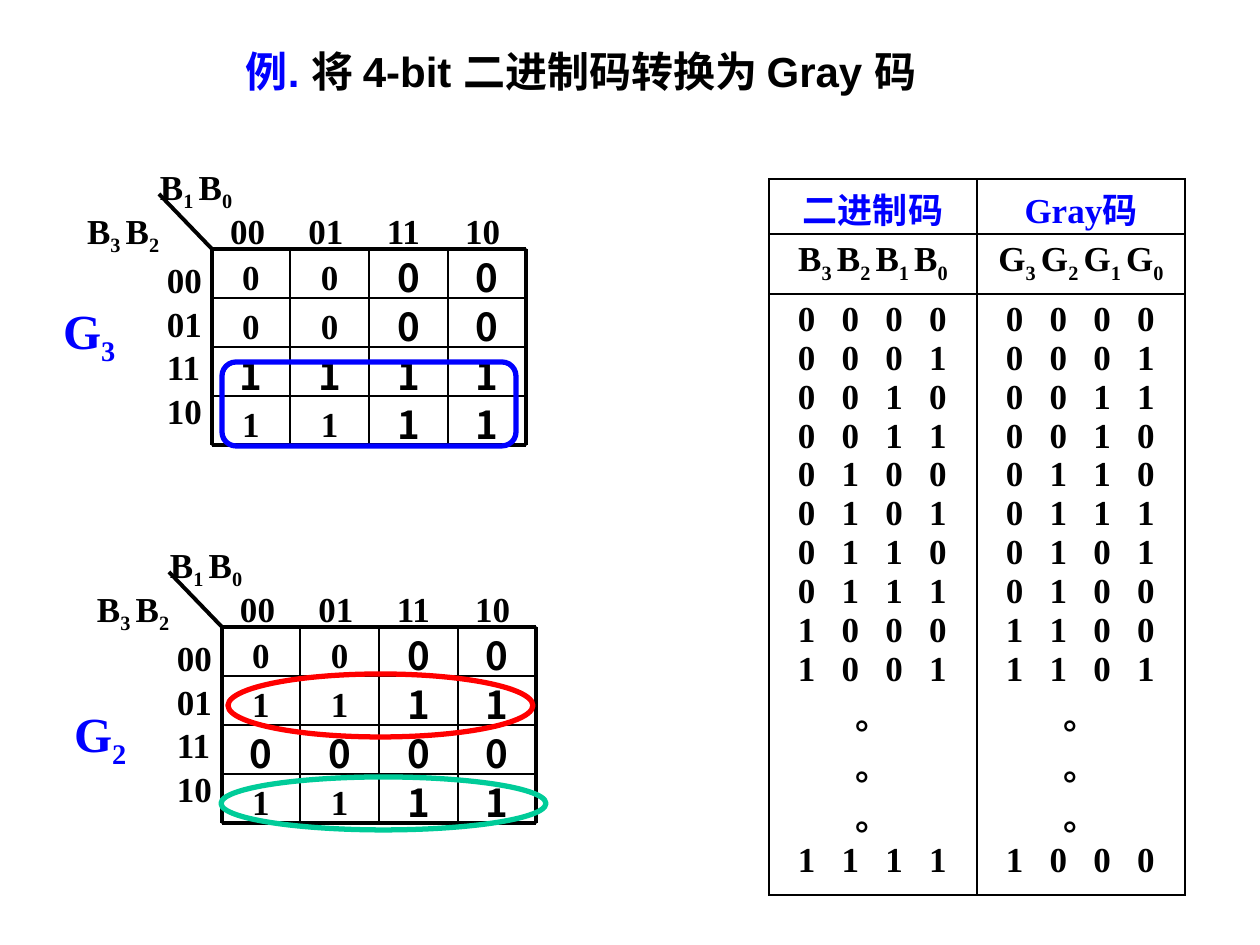
import dataclasses
import itertools
import typing

import pptx
import pptx.dml.color
import pptx.enum.shapes
import pptx.enum.text
import pptx.oxml.ns
import pptx.util
from lxml import etree

PX = 914400 / 126
COLORS = {"black": "000000", "blue": "0000FF", "red": "FF0000", "green": "00CC99"}
SERIF, SANS, CJK = "Times New Roman", "Arial", "Noto Sans CJK SC"
ALIGN = pptx.enum.text.PP_ALIGN
SHAPE = pptx.enum.shapes.MSO_SHAPE


class Box(typing.NamedTuple):
    left: int
    top: int
    width: int
    height: int


class Span(typing.NamedTuple):
    text: str
    size: int = 20
    font: str = SERIF
    color: str = "black"
    sub: bool = False


@dataclasses.dataclass
class Loop:
    kind: pptx.enum.shapes.MSO_SHAPE
    box: Box
    color: str


@dataclasses.dataclass
class KarnaughMap:
    index: str
    left: int
    top: int
    values: list[str]
    loops: list[Loop]
    name_box: Box


def px(value: float) -> int:
    return round(value * PX)


def emu(box: Box) -> list[int]:
    return [px(value) for value in box]


def rgb(name: str) -> pptx.dml.color.RGBColor:
    return pptx.dml.color.RGBColor.from_string(COLORS[name])


def child(parent, tag: str, **attributes: str):
    return etree.SubElement(parent, pptx.oxml.ns.qn(tag), **attributes)


def add_spans(para, spans: list[Span]) -> None:
    for span in spans:
        run = para.add_run()
        run.text = span.text
        run.font.size = pptx.util.Pt(span.size)
        run.font.bold = True
        run.font.name = span.font
        run.font.color.rgb = rgb(span.color)
        properties = run.font._element
        child(properties, "a:ea", typeface=CJK)
        if span.sub:
            properties.set("baseline", "-25000")


def subscripted(letter: str, digits: str, size: int = 20, color: str = "black") -> list[Span]:
    spans = []
    for position, digit in enumerate(digits, 1):
        gap = " " if position < len(digits) else ""
        spans += [Span(letter, size, color=color), Span(digit + gap, size, color=color, sub=True)]
    return spans


def add_tabs(para, pitch: float) -> None:
    stops = child(para._p.get_or_add_pPr(), "a:tabLst")
    for step in (1, 2, 3):
        child(stops, "a:tab", pos=str(px(pitch * step)), algn="l")


def add_text(page, box: Box, lines: list[list[Span]], align=ALIGN.LEFT, inset: int = 13,
             tab_pitch: float = 0, line_spacing: float = 1, gap: float = 0) -> None:
    frame = page.shapes.add_textbox(*emu(box)).text_frame
    frame.word_wrap = True
    frame.margin_left, frame.margin_top, frame.margin_bottom = px(inset), px(10), px(2)
    for number, spans in enumerate(lines):
        para = frame.add_paragraph() if number else frame.paragraphs[0]
        para.alignment = align
        if line_spacing != 1:
            para.line_spacing = line_spacing
        if number and gap:
            para.space_before = pptx.util.Pt(gap)
        if tab_pitch:
            add_tabs(para, tab_pitch)
        add_spans(para, spans)


def add_outline(page, kind, box: Box, color: str, weight: float):
    shape = page.shapes.add_shape(kind, *emu(box))
    shape.shadow.inherit = False
    shape.fill.background()
    shape.line.color.rgb = rgb(color)
    shape.line.width = pptx.util.Pt(weight)
    return shape


def add_line(page, x1: int, y1: int, x2: int, y2: int, weight: float) -> None:
    line = page.shapes.add_connector(pptx.enum.shapes.MSO_CONNECTOR.STRAIGHT,
                                     px(x1), px(y1), px(x2), px(y2))
    line.line.color.rgb = rgb("black")
    line.line.width = pptx.util.Pt(weight)
    child(line._element.spPr, "a:effectLst")


def draw_map(page, kmap: KarnaughMap) -> None:
    left, top = kmap.left, kmap.top
    xs = [left + round(314 * step / 4) for step in range(5)]
    ys = [top + 49 * step for step in range(5)]

    # Axis labels
    add_text(page, Box(left - 58, top + 14, 66, 176),
             [[Span(code)] for code in ("00", "01", "11", "10")], line_spacing=0.6, gap=10.7)
    add_text(page, Box(left - 12, top - 50, 336, 54), [[Span("00\t01\t11\t10")]],
             inset=30, tab_pitch=78.4)

    # Cells
    for row, column in itertools.product(range(4), repeat=2):
        cell = add_outline(page, SHAPE.RECTANGLE,
                           Box(xs[column], ys[row], xs[column + 1] - xs[column], 49), "black", 1)
        frame = cell.text_frame
        frame.vertical_anchor = pptx.enum.text.MSO_ANCHOR.MIDDLE
        frame.margin_top, frame.margin_bottom = px(13), px(6)
        frame.paragraphs[0].alignment = ALIGN.CENTER
        sans = row == 2 or column > 1
        add_spans(frame.paragraphs[0],
                  [Span(kmap.values[row][column], 22 if sans else 20, CJK if sans else SERIF)])

    # Rules: thin inside, thick around, and the corner diagonal
    for step in range(5):
        weight = 2.25 if step in (0, 4) else 1
        add_line(page, xs[0], ys[step], xs[4], ys[step], weight)
        add_line(page, xs[step], ys[0], xs[step], ys[4], weight)
    add_line(page, left, top, left - 53, top - 55, 2.25)

    add_text(page, Box(left - 138, top - 50, 147, 54), [subscripted("B", "32")])
    add_text(page, Box(left - 65, top - 94, 126, 54), [subscripted("B", "10")])
    for loop in kmap.loops:
        add_outline(page, loop.kind, loop.box, loop.color, 3)
    add_text(page, kmap.name_box, [subscripted("G", kmap.index, 28, "blue")], ALIGN.CENTER)


def style_cell(cell) -> None:
    cell.fill.background()
    properties = cell._tc.get_or_add_tcPr()
    for position, side in enumerate(("a:lnL", "a:lnR", "a:lnT", "a:lnB")):
        border = etree.Element(pptx.oxml.ns.qn(side), w="12700")
        child(child(border, "a:solidFill"), "a:srgbClr", val=COLORS["black"])
        properties.insert(position, border)


def draw_code_table(page) -> None:
    binary = [f"{number:04b}" for number in range(10)]
    gray = [f"{number ^ number >> 1:04b}" for number in range(10)]
    columns = [("二进制码", "B", binary + ["。"] * 3 + ["1111"]),
               ("Gray码", "G", gray + ["。"] * 3 + ["1000"])]
    table = page.shapes.add_table(3, 2, *emu(Box(769, 179, 416, 716))).table
    table.first_row = table.horz_banding = False
    for row, height in zip(table.rows, (55, 60, 601)):
        row.height = px(height)
    for column, (title, letter, codes) in enumerate(columns):
        table.columns[column].width = px(208)
        head, bits, body = [table.cell(row, column) for row in range(3)]
        for cell in (head, bits, body):
            style_cell(cell)
        head.margin_top, head.margin_bottom = px(4), 0
        for cell, spans in ((head, [Span(title, color="blue")]),
                            (bits, subscripted(letter, "3210"))):
            cell.text_frame.paragraphs[0].alignment = ALIGN.CENTER
            add_spans(cell.text_frame.paragraphs[0], spans)
        body.margin_left = body.margin_right = px(29)
        for number, code in enumerate(codes):
            para = body.text_frame.add_paragraph() if number else body.text_frame.paragraphs[0]
            para.alignment = ALIGN.CENTER if code == "。" else ALIGN.LEFT
            if code != "。":
                add_tabs(para, 43.7)
            add_spans(para, [Span("\t".join(code))])


def main() -> None:
    deck = pptx.Presentation()
    deck.slide_width, deck.slide_height = px(1260), px(945)
    page = deck.slides.add_slide(deck.slide_layouts[6])

    draw_code_table(page)
    draw_map(page, KarnaughMap("3", 212, 249, ["0000", "0000", "1111", "1111"],
                               [Loop(SHAPE.ROUNDED_RECTANGLE, Box(222, 362, 294, 84), "blue")],
                               Box(42, 290, 94, 72)))
    draw_map(page, KarnaughMap("2", 222, 627, ["0000", "1111", "0000", "1111"],
                               [Loop(SHAPE.OVAL, Box(228, 674, 305, 63), "red"),
                                Loop(SHAPE.OVAL, Box(221, 777, 325, 53), "green")],
                               Box(53, 693, 94, 72)))

    # Title
    add_text(page, Box(233, 35, 973, 63),
             [[Span("例. ", 24, SANS, "blue"), Span("将 4-bit 二进制码转换为 Gray 码", 24, SANS)]])
    deck.save("out.pptx")


if __name__ == "__main__":
    main()
